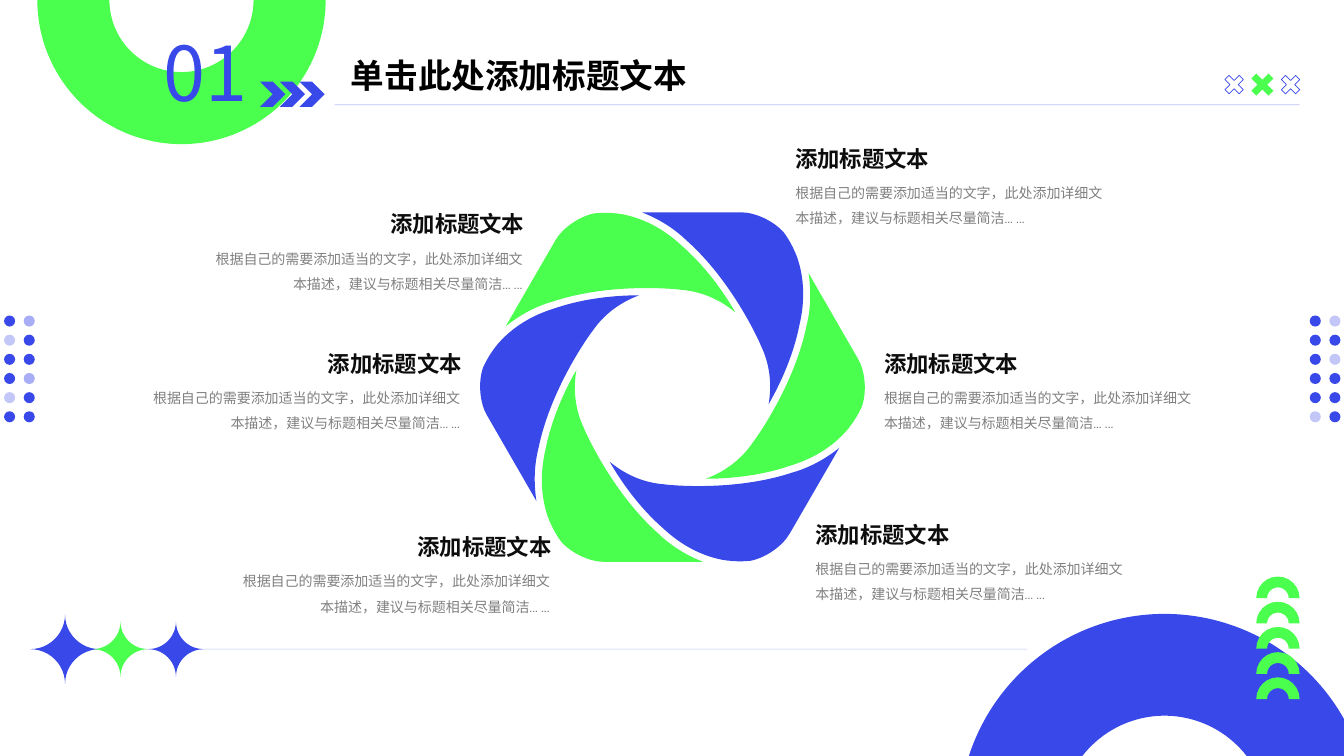
import math
import pptx
import pptx.util
import pptx.dml.color
import pptx.enum.shapes
import pptx.enum.text
import pptx.oxml
import pptx.oxml.ns
from dataclasses import dataclass
from lxml import etree

Inches = pptx.util.Inches
SHAPE = pptx.enum.shapes.MSO_SHAPE
ALIGN = pptx.enum.text.PP_ALIGN
qn = pptx.oxml.ns.qn


@dataclass(frozen=True)
class Theme:
    blue: str = "3948E9"
    green: str = "4AFF4E"
    black: str = "000000"
    ink: str = "0D0D0D"
    grey: str = "808080"
    font: str = "Cabin"
    digit: str = "Noto Sans CJK SC"
    number: int = 54
    title: int = 24
    head: int = 16
    body: int = 10
    hair: float = 0.5


theme = Theme()
HEAD = "添加标题文本"
BODY = "根据自己的需要添加适当的文字，此处添加详细文本描述，建议与标题相关尽量简洁... ..."

# Right edge (left side) or left edge (right side) and top of each item
LEFT = [(5.28, 2.04), (4.66, 3.42), (5.55, 5.24)]
RIGHT = [(7.79, 1.39), (8.67, 3.42), (7.99, 5.12)]

# Opacity of each dot, row by row
DOTS_L = [(100, 44), (30, 100), (100, 100)] * 2
DOTS_R = [(100, 30), (100, 100), (100, 30), (100, 100), (100, 100), (30, 100)]

# One blade of the wheel: start point, then curves (three points) and a line
HUB = (6.67, 3.84)
START = (6.34, 2.93)
BLADE = [
    [(6.1, 2.93), (5.79, 2.96), (5.5, 3.06)],
    [(5.27, 3.13), (5.08, 3.25), (4.94, 3.41)],
    [(4.84, 3.53), (4.8, 3.63), (4.79, 3.65)],
    [(4.74, 3.8), (4.76, 4), (4.83, 4.12)],
    [(5.32, 4.97)],
    [(5.3, 4.83), (5.29, 4.65), (5.34, 4.45)],
    [(5.46, 3.86), (5.84, 3.33), (5.88, 3.28)],
    [(5.99, 3.12), (6.15, 3), START],
]


def tint(color):
    return pptx.dml.color.RGBColor.from_string(color)


def fade(part, alpha):
    for clr in part.element.spPr.iter(qn("a:srgbClr")):
        etree.SubElement(clr, qn("a:alpha"), val=str(alpha * 1000))


def paint(shape, color):
    shape.shadow.inherit = False
    shape.fill.solid()
    shape.fill.fore_color.rgb = tint(color)
    shape.line.fill.background()


def stamp(slide, kind, x, y, size, color, turn=0, adj=None):
    shape = slide.shapes.add_shape(kind, *map(Inches, (x, y, size, size)))
    paint(shape, color)
    shape.rotation = turn
    if adj is not None:
        shape.adjustments[0] = adj
    return shape


def trace(slide, start, steps, color):
    pen = slide.shapes.build_freeform(*map(Inches, start))
    pen.add_line_segments([tuple(map(Inches, p)) for s in steps for p in s])
    shape = pen.convert_to_shape()
    paint(shape, color)
    # Join each run of three points into one curve
    outline = next(shape.element.iter(qn("a:path")))
    lines = iter(outline.findall(qn("a:lnTo")))
    for step in steps:
        group = [next(lines) for _ in step]
        if len(group) == 3:
            curve = etree.Element(qn("a:cubicBezTo"))
            group[0].addprevious(curve)
            for line in group:
                curve.append(line[0])
                outline.remove(line)
    etree.SubElement(outline, qn("a:close"))


def rule(slide, x, y, end):
    line = slide.shapes.add_connector(
        pptx.enum.shapes.MSO_CONNECTOR.STRAIGHT,
        *map(Inches, (x, y, end, y)))
    line.line.color.rgb = tint(theme.blue)
    line.line.width = pptx.util.Pt(theme.hair)
    fade(line, 33)
    etree.SubElement(line.element.spPr, qn("a:effectLst"))


def style(para, size, color, font=theme.font, bold=False):
    para.font.size = pptx.util.Pt(size)
    para.font.name = font
    para.font.bold = bold
    para.font.color.rgb = tint(color)


def write(slide, box, text):
    frame = slide.shapes.add_textbox(*map(Inches, box)).text_frame
    frame.word_wrap = True
    frame.text = text
    return frame.paragraphs[0]


def arc(x, y, r, start, end):
    # Four control points of a circular arc
    a, b = math.radians(start), math.radians(end)
    k = 4 / 3 * math.tan((b - a) / 4)
    units = [(math.cos(a), math.sin(a)),
             (math.cos(a) - k * math.sin(a), math.sin(a) + k * math.cos(a)),
             (math.cos(b) + k * math.sin(b), math.sin(b) - k * math.cos(b)),
             (math.cos(b), math.sin(b))]
    return [(x + r * p, y - r * q) for p, q in units]


def rings(slide, w, h):
    # Lower ring, cut by the slide edges
    x, y, big, small = w - 1.78, h + 0.63, 2.04, 1.03
    rise = math.degrees(math.asin((y - h) / big))
    side = math.degrees(math.acos((w - x) / big))
    dip = math.degrees(math.asin((y - h) / small))
    rim = arc(x, y, big, 180 - rise, 90)
    hole = arc(x, y, small, dip, 90)
    trace(slide, rim[0],
          [rim[1:], arc(x, y, big, 90, side)[1:], [(w, h)], hole[:1],
           hole[1:], arc(x, y, small, 90, 180 - dip)[1:]], theme.blue)
    # Upper half ring and the stack of small arcs
    stamp(slide, SHAPE.BLOCK_ARC, 0.37, -1.43, 2.86, theme.green, 180)
    for i in range(5):
        stamp(slide, SHAPE.BLOCK_ARC, w - 0.87, 5.72 + 0.25 * i, 0.43,
              theme.green)


def header(slide, x, y, w):
    for i in range(3):
        stamp(slide, SHAPE.CHEVRON, x + 1.06 + 0.195 * i, y + 0.6, 0.25,
              theme.blue)
    rule(slide, x + 1.8, y + 0.83, x + w)
    # Crosses: a solid one between two outlined ones
    for mid, size in ((-0.65, 0.2), (-0.37, 0.24), (-0.09, 0.2)):
        cross = stamp(slide, SHAPE.CROSS, x + w + mid - size / 2,
                      y + 0.63 - size / 2, size, theme.green, 45, 0.356)
        if size == 0.2:
            cross.fill.background()
            cross.line.color.rgb = tint(theme.blue)
            cross.line.width = pptx.util.Pt(theme.hair)
    # Number and title
    para = write(slide, (x, y, 1.1, 1.01), "01")
    style(para, theme.number, theme.blue, theme.digit)
    title = slide.shapes.title
    title.left, title.top, title.width, title.height = map(
        Inches, (x + 1.86, y + 0.28, 3.97, 0.5))
    frame = title.text_frame
    frame.text = "单击此处添加标题文本"
    frame.auto_size = pptx.enum.text.MSO_AUTO_SIZE.NONE
    frame.vertical_anchor = pptx.enum.text.MSO_ANCHOR.TOP
    frame.paragraphs[0].alignment = ALIGN.LEFT
    style(frame.paragraphs[0], theme.title, theme.black, bold=True)


def dots(slide, x, y, rows):
    for i, row in enumerate(rows):
        for j, alpha in enumerate(row):
            dot = stamp(slide, SHAPE.OVAL, x + 0.195 * j, y + 0.19 * i, 0.11,
                        theme.blue)
            if alpha < 100:
                fade(dot, alpha)


def footer(slide, x, y, w):
    rule(slide, x + 0.18, y, x + w)
    for left, size, color in ((0, 0.69, theme.blue), (1.17, 0.55, theme.blue),
                              (0.62, 0.55, theme.green)):
        stamp(slide, SHAPE.PLAQUE, x + left, y - size / 2, size, color,
              adj=0.5)


def spin(point, turn):
    dx, dy = point[0] - HUB[0], point[1] - HUB[1]
    cos, sin = math.cos(turn), math.sin(turn)
    return dx * cos - dy * sin, dx * sin + dy * cos


def wheel(slide, x, y):
    # The blade turned in steps of 60 degrees
    for k in range(6):
        start, *steps = [
            [(x + dx, y + dy) for dx, dy in
             (spin(p, k * math.pi / 3) for p in step)]
            for step in [[START]] + BLADE]
        trace(slide, start[0], steps, theme.green if k % 2 else theme.blue)


def item(slide, x, y, align):
    flip = align == ALIGN.RIGHT
    body = write(slide, (x - 3.24 * flip, y + 0.31, 3.24, 0.58), BODY)
    body.line_spacing = 1.5
    head = write(slide, (x - 2.42 * flip, y, 2.44, 0.37), HEAD)
    body.alignment = head.alignment = align
    style(body, theme.body, theme.grey)
    style(head, theme.head, theme.ink, bold=True)


def main():
    deck = pptx.Presentation()
    deck.slide_width, deck.slide_height = Inches(13.33), Inches(7.5)
    slide = deck.slides.add_slide(deck.slide_layouts[5])
    rings(slide, 13.33, 7.5)
    header(slide, 1.52, 0.21, 11.37)
    dots(slide, 0.04, 3.13, DOTS_L)
    dots(slide, 12.99, 3.13, DOTS_R)
    footer(slide, 0.3, 6.44, 9.89)
    wheel(slide, *HUB)
    for align, spots in ((ALIGN.RIGHT, LEFT), (ALIGN.LEFT, RIGHT)):
        for x, y in spots:
            item(slide, x, y, align)
    deck.save("out.pptx")


if __name__ == "__main__":
    main()
